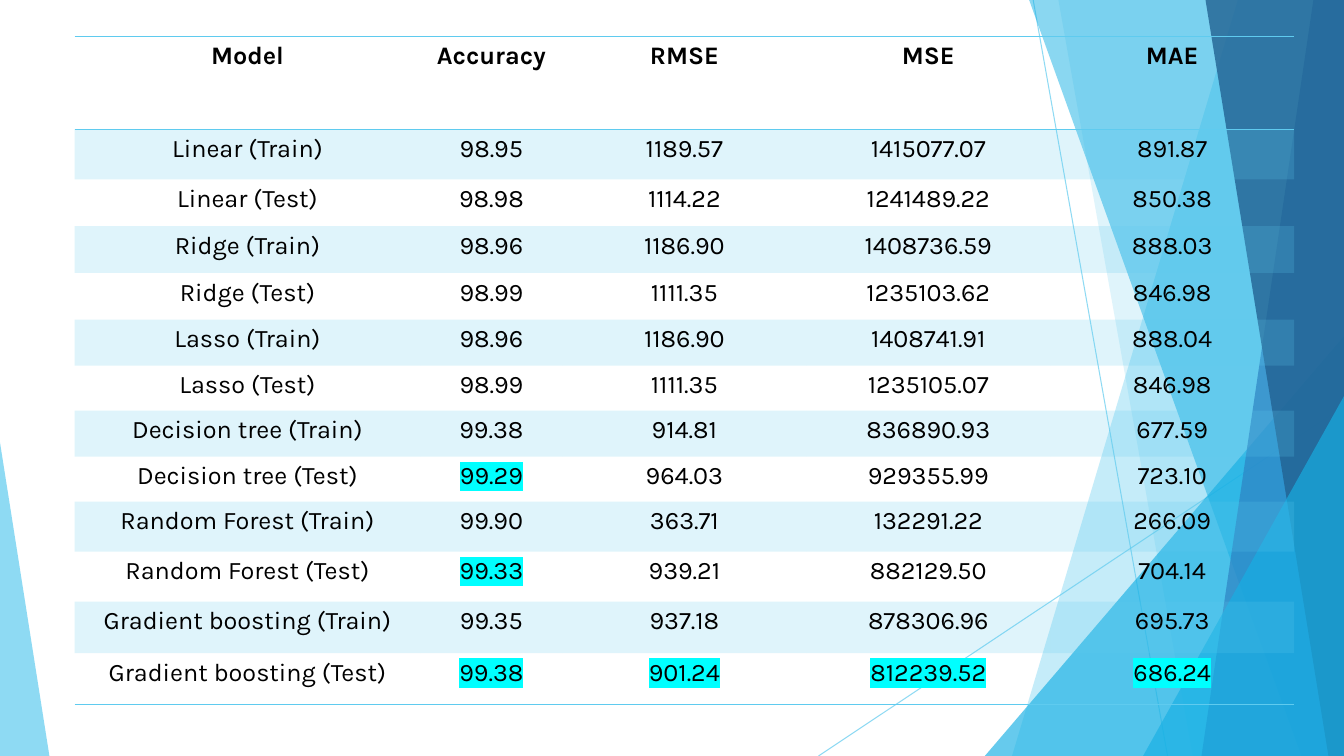
from dataclasses import dataclass

from lxml import etree
from pptx import Presentation
from pptx.dml.color import RGBColor
from pptx.enum.shapes import MSO_CONNECTOR, MSO_SHAPE
from pptx.enum.text import PP_ALIGN
from pptx.oxml.ns import qn
from pptx.util import Inches, Pt

STRAIGHT = MSO_CONNECTOR.STRAIGHT
TRIANGLE = MSO_SHAPE.ISOSCELES_TRIANGLE
CENTER = PP_ALIGN.CENTER
GRID_COLUMNS, GRID_ROWS = 160, 90
CELL = Inches(1) // 12
PLAIN_TABLE = "{2D5ABB26-0587-4C30-8999-92F81FD0307C}"


@dataclass(frozen=True)
class Theme:
    sky: str = "5FCBEF"
    azure: str = "17B0E4"
    blue: str = "2E83C3"
    navy: str = "226292"
    ink: str = "000000"
    marker: str = "00FFFF"
    font: str = "Karla"
    text_size: float = 18
    hairline: float = 0.75
    rule: float = 1
    band_opacity: int = 20


def units(*lengths):
    return [round(length * CELL) for length in lengths]


def add_color(parent, tag, color):
    holder = etree.SubElement(parent, qn(tag))
    etree.SubElement(holder, qn("a:srgbClr"), val=color)
    return holder


def set_opacity(element, percent):
    for color in element.iter(qn("a:srgbClr")):
        etree.SubElement(color, qn("a:alpha"), val=str(percent * 1000))


class Painter:
    def __init__(self, theme, page):
        self.theme = theme
        self.page = page

    def line(self, start, end, color, opacity):
        connector = self.page.shapes.add_connector(STRAIGHT, *units(*start, *end))
        connector.line.color.rgb = RGBColor.from_string(color)
        connector.line.width = Pt(self.theme.hairline)
        properties = connector._element.spPr
        set_opacity(properties, opacity)
        etree.SubElement(properties, qn("a:effectLst"))

    def finish(self, shape, color, opacity):
        shape.shadow.inherit = False
        shape.fill.solid()
        shape.fill.fore_color.rgb = RGBColor.from_string(color)
        set_opacity(shape._element.spPr, opacity)
        shape.line.fill.background()

    def facet(self, top, bottom, color, opacity):
        builder = self.page.shapes.build_freeform(*units(top, 0))
        corners = [(GRID_COLUMNS, 0), (GRID_COLUMNS, GRID_ROWS), (bottom, GRID_ROWS)]
        builder.add_line_segments([units(*corner) for corner in corners], close=True)
        self.finish(builder.convert_to_shape(), color, opacity)

    def wedge(self, left, right, top, apex, color, opacity):
        box = units(left, top, right - left, GRID_ROWS - top)
        shape = self.page.shapes.add_shape(TRIANGLE, *box)
        shape.adjustments[0] = apex
        self.finish(shape, color, opacity)

    def label_cell(self, cell, text, bold, marked):
        para = cell.text_frame.paragraphs[0]
        para.alignment = CENTER
        span = para.add_run()
        span.text = text
        span.font.size = Pt(self.theme.text_size)
        span.font.bold = bold
        span.font.color.rgb = RGBColor.from_string(self.theme.ink)
        if marked:
            add_color(span._r.get_or_add_rPr(), "a:highlight", self.theme.marker)
        span.font.name = self.theme.font

    def style_cell(self, cell, edges, banded):
        properties = cell._tc.get_or_add_tcPr()
        for edge in edges:
            border = etree.SubElement(
                properties, qn(edge), w=str(int(Pt(self.theme.rule)))
            )
            add_color(border, "a:solidFill", self.theme.sky)
        if banded:
            band = add_color(properties, "a:solidFill", self.theme.sky)
            set_opacity(band, self.theme.band_opacity)
        else:
            cell.fill.background()

    def table(self, left, top, widths, heights, records, marked):
        box = units(left, top, sum(widths), sum(heights))
        frame = self.page.shapes.add_table(len(heights), len(widths), *box)
        table = frame.table
        table.first_row = table.horz_banding = False
        table._tbl.tblPr.find(qn("a:tableStyleId")).text = PLAIN_TABLE
        for column, width in zip(table.columns, units(*widths)):
            column.width = width
        for row, height in zip(table.rows, units(*heights)):
            row.height = height
        last = len(records) - 1
        for row, record in enumerate(records):
            edges = {0: ["a:lnT", "a:lnB"], last: ["a:lnB"]}.get(row, [])
            for column, text in enumerate(record):
                cell = table.cell(row, column)
                self.label_cell(cell, text, row == 0, (row, column) in marked)
                self.style_cell(cell, edges, row % 2 == 1)


HEADER = ("Model", "Accuracy", "RMSE", "MSE", "MAE")
SCORES = {
    "Linear": [
        ("98.95", "1189.57", "1415077.07", "891.87"),
        ("98.98", "1114.22", "1241489.22", "850.38"),
    ],
    "Ridge": [
        ("98.96", "1186.90", "1408736.59", "888.03"),
        ("98.99", "1111.35", "1235103.62", "846.98"),
    ],
    "Lasso": [
        ("98.96", "1186.90", "1408741.91", "888.04"),
        ("98.99", "1111.35", "1235105.07", "846.98"),
    ],
    "Decision tree": [
        ("99.38", "914.81", "836890.93", "677.59"),
        ("99.29", "964.03", "929355.99", "723.10"),
    ],
    "Random Forest": [
        ("99.90", "363.71", "132291.22", "266.09"),
        ("99.33", "939.21", "882129.50", "704.14"),
    ],
    "Gradient boosting": [
        ("99.35", "937.18", "878306.96", "695.73"),
        ("99.38", "901.24", "812239.52", "686.24"),
    ],
}
RECORDS = [HEADER] + [
    (f"{model} ({phase})", *values)
    for model, results in SCORES.items()
    for phase, values in zip(("Train", "Test"), results)
]
BEST_SCORES = {(8, 1), (10, 1), (12, 1), (12, 2), (12, 3), (12, 4)}
COLUMN_WIDTHS = [41.16, 16.92] + [29.04] * 3
ROW_HEIGHTS = [11.1, 5.95] + [5.57] * 3 + [5.5, 5.36, 5.48, 5.36]
ROW_HEIGHTS += [5.95] * 2 + [6.12] * 2

theme = Theme()
deck = Presentation()
deck.slide_width, deck.slide_height = units(GRID_COLUMNS, GRID_ROWS)
painter = Painter(theme, deck.slides.add_slide(deck.slide_layouts[6]))

painter.line((123, 0), (139, GRID_ROWS), theme.sky, 70)
painter.line((GRID_COLUMNS, 48.36), (97.44, GRID_ROWS), theme.sky, 70)
painter.facet(147.36, 120.48, theme.sky, 36)
painter.facet(126, 142, theme.sky, 20)
painter.wedge(117.24, GRID_COLUMNS, 40, 1, theme.azure, 66)
painter.facet(122.52, 154.92, theme.azure, 50)
painter.facet(156.36, 143.04, theme.blue, 70)
painter.facet(143.52, 158.16, theme.navy, 80)
painter.wedge(136.08, GRID_COLUMNS, 47.16, 1, theme.azure, 66)
painter.wedge(0, 5.88, 52.68, 0, theme.sky, 70)
painter.table(8.88, 4.3, COLUMN_WIDTHS, ROW_HEIGHTS, RECORDS, BEST_SCORES)

deck.save("out.pptx")
